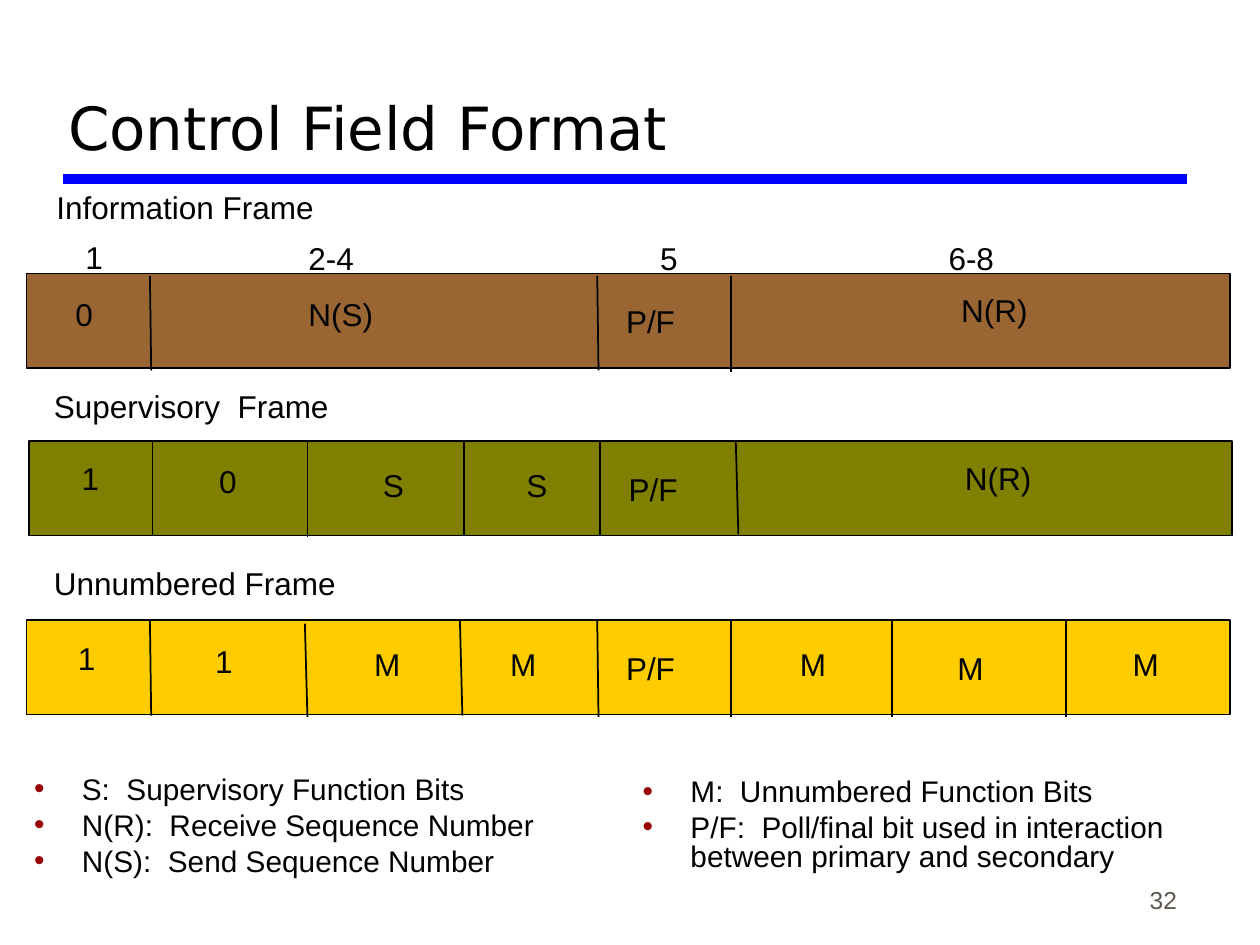
from typing import NamedTuple

from lxml import etree
from pptx import Presentation
from pptx.dml.color import RGBColor
from pptx.enum.shapes import MSO_CONNECTOR, MSO_SHAPE
from pptx.enum.text import MSO_ANCHOR, MSO_AUTO_SIZE, PP_ALIGN
from pptx.oxml.ns import qn
from pptx.util import Inches, Pt

RECTANGLE = MSO_SHAPE.RECTANGLE
STRAIGHT = MSO_CONNECTOR.STRAIGHT
BOTTOM, TOP = MSO_ANCHOR.BOTTOM, MSO_ANCHOR.TOP
LEFT, RIGHT = PP_ALIGN.LEFT, PP_ALIGN.RIGHT
FIXED_SIZE = MSO_AUTO_SIZE.NONE

BLACK = RGBColor(0x00, 0x00, 0x00)
BLUE = RGBColor(0x00, 0x00, 0xFF)
BROWN = RGBColor(0x99, 0x66, 0x33)
OLIVE = RGBColor(0x80, 0x80, 0x00)
GOLD = RGBColor(0xFF, 0xCC, 0x00)
DARK_RED = RGBColor(0x99, 0x00, 0x00)
GRAY = RGBColor(0x5E, 0x57, 0x4E)

BODY_FONT = "Arial"
TITLE_FONT = "DejaVu Sans"
BAR_WIDTH, BAR_HEIGHT = 9.55, 0.75
LABEL_HEIGHT = 0.4
LABEL_WIDTHS = {"S": 0.37, "M": 0.41, "2-4": 0.56, "6-8": 0.56, "P/F": 0.59,
                "N(S)": 0.73, "N(R)": 0.73}
DIGIT_WIDTH = 0.34


class Label(NamedTuple):
    text: str
    left: float
    offset: float  # distance below the top of the bar


class Divider(NamedTuple):
    top_x: float
    bottom_x: float
    start: float = 0  # both ends are measured from the top of the bar
    end: float = BAR_HEIGHT


class Frame(NamedTuple):
    name: str
    name_left: float
    name_top: float
    name_width: float
    left: float
    top: float
    color: RGBColor
    dividers: list[Divider]
    labels: list[Label]


FRAMES = [
    Frame("Information Frame", 0.35, 1.44, 2.24, 0.21, 2.17, BROWN,
          [Divider(1.19, 1.2, 0.02, 0.77), Divider(4.74, 4.75, 0.02, 0.77),
           Divider(5.8, 5.8, 0.02, 0.78)],
          [Label("1", 0.58, -0.33), Label("2-4", 2.35, -0.32),
           Label("5", 5.14, -0.32), Label("6-8", 7.43, -0.32),
           Label("0", 0.5, 0.12), Label("N(S)", 2.35, 0.12),
           Label("P/F", 4.87, 0.18), Label("N(R)", 7.53, 0.09)]),
    Frame("Supervisory  Frame", 0.33, 3.02, 2.38, 0.23, 3.5, OLIVE,
          [Divider(1.21, 1.21), Divider(2.44, 2.44, 0.01, 0.76),
           Divider(3.68, 3.68), Divider(4.76, 4.76),
           Divider(5.84, 5.86, 0.01, 0.74)],
          [Label("1", 0.55, 0.09), Label("0", 1.64, 0.12),
           Label("S", 2.94, 0.15), Label("S", 4.08, 0.15),
           Label("P/F", 4.89, 0.18), Label("N(R)", 7.56, 0.09)]),
    Frame("Unnumbered Frame", 0.33, 4.43, 2.44, 0.21, 4.92, GOLD,
          [Divider(1.19, 1.2, 0, 0.76), Divider(2.42, 2.44, 0.03, 0.77),
           Divider(3.65, 3.67, 0, 0.76), Divider(4.74, 4.75, 0, 0.77),
           Divider(5.8, 5.8, 0.01, 0.77), Divider(7.08, 7.08, 0.01, 0.77),
           Divider(8.46, 8.46, 0.01, 0.77)],
          [Label("1", 0.52, 0.1), Label("1", 1.61, 0.13),
           Label("M", 2.87, 0.15), Label("M", 3.95, 0.15),
           Label("P/F", 4.87, 0.18), Label("M", 6.25, 0.15),
           Label("M", 7.5, 0.18), Label("M", 8.89, 0.15)]),
]
LEFT_LIST = ["S:  Supervisory Function Bits", "N(R):  Receive Sequence Number",
             "N(S):  Send Sequence Number"]
RIGHT_LIST = ["M:  Unnumbered Function Bits",
              "P/F:  Poll/final bit used in interaction between primary and secondary"]


def place(shape, left: float, top: float, width: float, height: float) -> None:
    shape.left, shape.top = Inches(left), Inches(top)
    shape.width, shape.height = Inches(width), Inches(height)


def add_run(paragraph, text: str, size: float, color: RGBColor = BLACK,
            font_name: str = BODY_FONT) -> None:
    run = paragraph.add_run()
    run.text = text
    run.font.size = Pt(size)
    run.font.name = font_name
    run.font.color.rgb = color


def add_label(slide, text: str, left: float, top: float, width: float) -> None:
    box = slide.shapes.add_textbox(Inches(left), Inches(top),
                                   Inches(width), Inches(LABEL_HEIGHT))
    box.text_frame.word_wrap = False
    add_run(box.text_frame.paragraphs[0], text, 18)


def add_line(slide, start: tuple[float, float], end: tuple[float, float],
             color: RGBColor, weight: float) -> None:
    line = slide.shapes.add_connector(STRAIGHT, *map(Inches, start + end))
    line.line.color.rgb = color
    line.line.width = Pt(weight)
    etree.SubElement(line._element.spPr, qn("a:effectLst"))


def draw_frame(slide, frame: Frame) -> None:
    add_label(slide, frame.name, frame.name_left, frame.name_top, frame.name_width)
    bar = slide.shapes.add_shape(RECTANGLE, Inches(frame.left), Inches(frame.top),
                                 Inches(BAR_WIDTH), Inches(BAR_HEIGHT))
    bar.shadow.inherit = False
    bar.fill.solid()
    bar.fill.fore_color.rgb = frame.color
    bar.line.color.rgb = BLACK
    bar.line.width = Pt(1)
    for divider in frame.dividers:
        add_line(slide, (divider.top_x, frame.top + divider.start),
                 (divider.bottom_x, frame.top + divider.end), BLACK, 1)
    for label in frame.labels:
        add_label(slide, label.text, label.left, frame.top + label.offset,
                  LABEL_WIDTHS.get(label.text, DIGIT_WIDTH))


def add_bullet(paragraph) -> None:
    properties = paragraph._p.get_or_add_pPr()
    properties.set("marL", str(Inches(0.38)))
    properties.set("indent", str(-Inches(0.38)))
    bullet_color = etree.SubElement(properties, qn("a:buClr"))
    etree.SubElement(bullet_color, qn("a:srgbClr"), val=str(DARK_RED))
    etree.SubElement(properties, qn("a:buFont"), typeface=BODY_FONT)
    etree.SubElement(properties, qn("a:buChar"), char="•")


def fill_list(placeholder, items: list[str]) -> None:
    text_frame = placeholder.text_frame
    text_frame.auto_size = FIXED_SIZE
    text_frame.vertical_anchor = TOP
    for index, item in enumerate(items):
        paragraph = text_frame.add_paragraph() if index else text_frame.paragraphs[0]
        paragraph.line_spacing = 0.8
        paragraph.space_before = Pt(4.2)
        add_bullet(paragraph)
        add_run(paragraph, item, 17)


def main() -> None:
    presentation = Presentation()
    presentation.slide_width, presentation.slide_height = Inches(10), Inches(7.5)
    slide = presentation.slides.add_slide(presentation.slide_layouts[3])
    title, left_body, right_body = slide.placeholders

    # Title and rule
    add_line(slide, (0.5, 1.42), (9.42, 1.42), BLUE, 6)
    place(title, 0.44, 0.17, 8.97, 1.17)
    title.text_frame.auto_size = FIXED_SIZE
    title.text_frame.vertical_anchor = BOTTOM
    title.text_frame.paragraphs[0].alignment = LEFT
    add_run(title.text_frame.paragraphs[0], "Control Field Format", 34,
            font_name=TITLE_FONT)

    # Frame layouts
    for frame in FRAMES:
        draw_frame(slide, frame)

    # Abbreviations
    place(left_body, 0.17, 6.12, 4.83, 1.11)
    fill_list(left_body, LEFT_LIST)
    place(right_body, 5, 6.14, 4.67, 0.97)
    fill_list(right_body, RIGHT_LIST)

    # Page number
    number_box = slide.shapes.add_textbox(Inches(7.36), Inches(6.81),
                                          Inches(2.08), Inches(0.5))
    number_box.text_frame.word_wrap = True
    number_box.text_frame.vertical_anchor = BOTTOM
    number_box.text_frame.paragraphs[0].alignment = RIGHT
    add_run(number_box.text_frame.paragraphs[0], "32", 14, GRAY)

    presentation.save("out.pptx")


if __name__ == "__main__":
    main()
